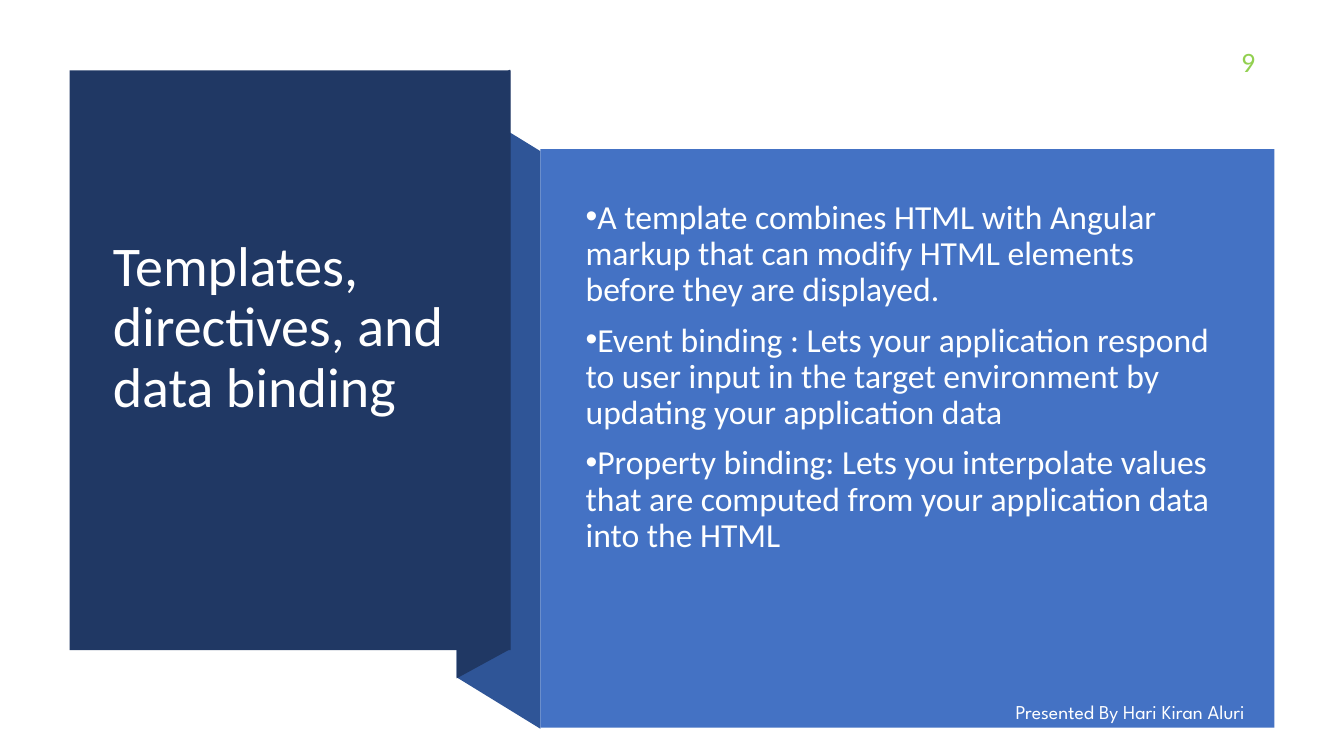
from lxml.etree import SubElement
from pptx import Presentation
from pptx.dml.color import RGBColor
from pptx.enum.shapes import MSO_SHAPE
from pptx.enum.text import MSO_ANCHOR, MSO_AUTO_SIZE, PP_ALIGN
from pptx.oxml.ns import qn
from pptx.util import Inches, Pt

WIDTH, HEIGHT = Inches(13.33), Inches(7.5)
COLORS = {"navy": "203864", "fold": "2F5597", "panel": "4472C4",
          "white": "FFFFFF", "body": "FEFFFF", "green": "92D050"}
POINTS = [
    "A template combines HTML with Angular markup that can modify HTML elements "
    "before they are displayed.",
    "Event binding : Lets your application respond to user input in the target "
    "environment by updating your application data",
    "Property binding: Lets you interpolate values that are computed from your "
    "application data into the HTML",
]


def x(percent):
    return round(WIDTH * percent / 100)


def y(percent):
    return round(HEIGHT * percent / 100)


def box(left, top, width, height):
    """Turn shares of the slide, in percent, into a position and size."""
    return x(left), y(top), x(width), y(height)


def paint(sp, color):
    sp.shadow.inherit = False
    sp.fill.solid()
    sp.fill.fore_color.rgb = RGBColor.from_string(COLORS[color])
    sp.line.fill.background()


def add_panel(slide, area, color):
    paint(slide.shapes.add_shape(MSO_SHAPE.RECTANGLE, *box(*area)), color)


def add_fold(slide, corners, color):
    start, *rest = [(x(px), y(py)) for px, py in corners]
    builder = slide.shapes.build_freeform(*start)
    builder.add_line_segments(rest, close=True)
    paint(builder.convert_to_shape(), color)


def write(sp, lines, size, color, font="Calibri", align=PP_ALIGN.LEFT,
          anchor=MSO_ANCHOR.MIDDLE, spacing=1.0):
    tf = sp.text_frame
    tf.text = "\n".join(lines)
    tf.word_wrap = True
    tf.auto_size = MSO_AUTO_SIZE.NONE
    tf.vertical_anchor = anchor
    for p in tf.paragraphs:
        p.alignment = align
        p.line_spacing = spacing
        for r in p.runs:
            r.font.name = font
            r.font.size = Pt(size)
            r.font.color.rgb = RGBColor.from_string(COLORS[color])


def add_text(slide, area, lines, size, color, **style):
    sp = slide.shapes.add_textbox(*box(*area))
    write(sp, lines, size, color, **style)
    return sp


def add_title(slide, area, text):
    title = slide.shapes.title
    title.left, title.top, title.width, title.height = box(*area)
    write(title, [text], 40, "white", spacing=0.9)
    title.text_frame.margin_bottom = Inches(0.66)
    # Bring the title in front of the navy panel
    title.element.getparent().append(title.element)


def add_bullets(slide, area, lines):
    tf = add_text(slide, area, lines, 24, "body", spacing=0.9).text_frame
    tf.margin_bottom = Inches(1.06)
    for p in tf.paragraphs:
        p.space_before = Pt(10)
        props = p._p.get_or_add_pPr()
        props.set("marL", "0")
        props.set("indent", str(-Inches(0.25)))
        SubElement(props, qn("a:buFont"), typeface="Arial")
        SubElement(props, qn("a:buChar"), char="•")


def main():
    prs = Presentation()
    prs.slide_width, prs.slide_height = WIDTH, HEIGHT
    slide = prs.slides.add_slide(prs.slide_layouts[5])

    add_fold(slide, [(40.21, 96.4), (33.98, 89.6), (33.98, 13.2), (40.21, 20)], "fold")
    add_fold(slide, [(37.96, 85.87), (33.98, 89.73), (33.98, 13.07), (37.96, 9.2)], "navy")
    add_panel(slide, (5.18, 9.33, 32.82, 76.67), "navy")
    add_title(slide, (7.65, 14.27, 27.83, 66.53), "Templates, directives, and data binding")
    add_panel(slide, (40.21, 19.73, 54.61, 76.53), "panel")
    add_bullets(slide, (42.84, 25.07, 48.84, 63.2), POINTS)
    add_text(slide, (71.19, 91.87, 25.81, 4.53), ["Presented By Hari Kiran Aluri"],
             14, "white", font="League Spartan", align=PP_ALIGN.CENTER)
    add_text(slide, (91.6, 5.2, 3.53, 5.87), ["9"], 20, "green", anchor=MSO_ANCHOR.TOP)

    prs.save("out.pptx")


if __name__ == "__main__":
    main()
